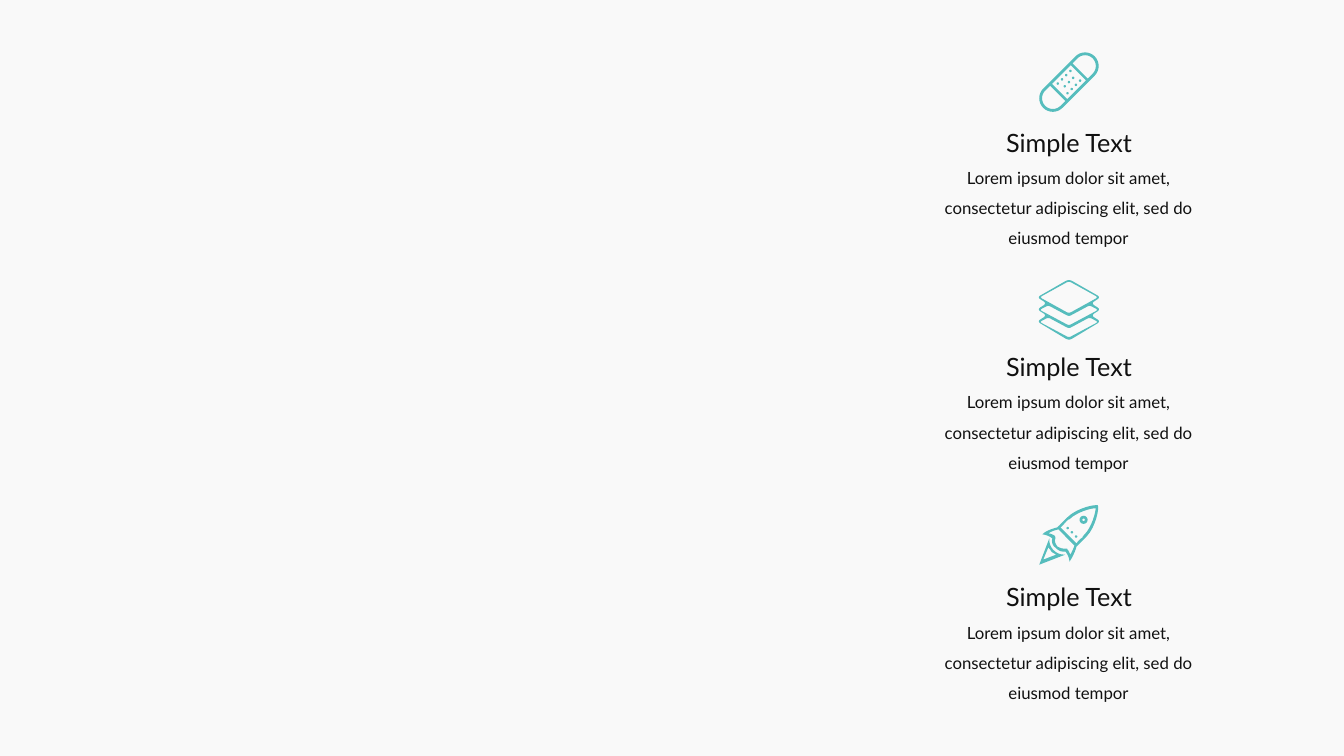
from math import cos, hypot, pi, sin, sqrt

from pptx import Presentation
from pptx.dml.color import RGBColor
from pptx.enum.text import MSO_AUTO_SIZE as Fit, PP_ALIGN as Align
from pptx.util import Cm, Pt

TEAL = RGBColor(0x56, 0xBD, 0xBD)
INK = RGBColor(0x11, 0x11, 0x11)
PAPER = RGBColor(0xF9, 0xF9, 0xF9)
FONT = "Lato"
HEAD = "Simple Text"
BODY = "Lorem ipsum dolor sit amet, consectetur adipiscing elit, sed do eiusmod tempor"
UNIT = Cm(0.0254)  # icons are drawn on a grid of 59 units
FINE = 100  # steps in one unit
MID = 29.5


# Outline helpers: each returns a list of points
def bend(ctrl, steps=8):
    """Points along a Bezier curve, without its first point."""
    out = []
    for i in range(1, steps + 1):
        t, row = i / steps, ctrl
        while len(row) > 1:
            row = [(a + (c - a) * t, b + (d - b) * t)
                   for (a, b), (c, d) in zip(row, row[1:])]
        out.append(row[0])
    return out


def trace(start, *parts):
    """Each part holds one point (line) or three points (curve)."""
    out = [start]
    for part in parts:
        pairs = list(zip(part[::2], part[1::2]))
        out += pairs if len(pairs) == 1 else bend([out[-1]] + pairs)
    return out


def arc(x, y, r, start=0, sweep=2 * pi, steps=16):
    turns = [start + sweep * i / steps for i in range(steps + 1)]
    return [(x + r * cos(a), y + r * sin(a)) for a in turns]


def soften(points, cut):
    """Round every corner of a closed outline."""
    out = []
    for i, (x, y) in enumerate(points):
        ends = []
        for px, py in (points[i - 1], points[(i + 1) % len(points)]):
            k = cut / hypot(px - x, py - y)
            ends.append((x + (px - x) * k, y + (py - y) * k))
        out += [ends[0]] + bend([ends[0], (x, y), ends[1]])
    return out


def mirror(half):
    """Close a left half, listed from top to bottom, on its right side."""
    return half + [(2 * MID - x, y) for x, y in reversed(half) if x != MID]


def tilt(points):
    return [(MID + (u + v) / sqrt(2), MID + (v - u) / sqrt(2)) for u, v in points]


# Icons: lists of outlines, inner ones cut holes
def plaster():
    reach, wide, slim = 22.6, 13.5, 10.7
    right = arc(reach, 0, wide, -pi / 2, pi)
    left = arc(-reach, 0, wide, pi / 2, pi)
    cap = [(15.7, -slim)] + arc(reach, 0, slim, -pi / 2, pi) + [(15.7, slim)]
    pad = [(-13.2, -slim), (13.2, -slim), (13.2, slim), (-13.2, slim)]
    rows = [(-6.8, 4), (0, 3), (6.8, 4)]
    dots = [arc(5.9 * (i - (n - 1) / 2), v, 1.2) for v, n in rows for i in range(n)]
    shapes = [right + left, cap, [(-u, -v) for u, v in cap], pad] + dots
    return [tilt(points) for points in shapes]


def layers():
    edge = [(MID, -1), (-2, 17), (7.5, 23), (-2, 29), (7.5, 35), (-2, 41), (MID, 60)]
    top = [(MID, 1), (0.5, 17), (MID, 33)]
    bands = [[(9, 25 + d), (0.5, 29.5 + d), (MID, 45 + d)] for d in (0, 12)]
    out = [soften(mirror(edge), 4), soften(mirror(top), 3)]
    for band in bands:
        dip = (MID, band[0][1] + 11)
        out.append(soften([dip] + mirror(band), 2.5))
    return out


def rocket():
    hull = trace(
        (58, 0), (56, 0), (51, 0, 36, 4, 28, 12), (26, 14, 20, 20, 18, 22),
        (14, 23, 7, 25, 3, 29), (3, 29, 8, 29, 13, 33), (12, 36, 13, 40, 16, 42),
        (19, 45, 21, 46, 24, 46), (26, 46), (30, 51, 30, 56, 30, 56),
        (33, 52, 36, 45, 37, 41), (39, 39, 45, 33, 47, 31), (56, 22, 60, 2, 58, 0))
    nose = trace(
        (45, 29), (44, 30, 43, 31, 43, 32), (41, 33, 38, 36, 37, 38), (21, 22),
        (23, 21, 25, 18, 27, 16), (28, 15, 29, 14, 30, 14), (37, 7, 51, 3, 56, 3),
        (56, 7, 52, 22, 45, 29))
    tail = trace(
        (35, 40), (34, 43, 32, 47, 31, 49), (30, 48, 30, 46, 28, 44),
        (28, 43, 27, 43, 26, 43), (24, 43), (22, 43, 20, 42, 18, 41),
        (16, 38, 15, 36, 16, 33), (16, 32, 16, 31, 15, 30), (13, 29, 11, 28, 9, 28),
        (12, 26, 15, 25, 19, 24))
    flame = trace((10, 33), (0, 59), (26, 49), (25, 49, 25, 49, 24, 49),
                  (16, 49, 9, 41, 10, 33))
    core = trace((4, 54), (9, 42), (10, 43, 11, 44, 12, 46), (13, 47, 15, 48, 17, 49))
    dots = [arc(28.2 + 4.2 * i, 22.7 + 4.2 * i, 1.2) for i in range(3)]
    port = [arc(44, 14.5, r) for r in (4, 1.3)]
    return [hull, nose, tail, flame, core] + dots + port


# Slide parts
def add_icon(slide, shapes, top):
    pen = None
    for points in shapes:
        (x, y), *rest = [(px * FINE, py * FINE) for px, py in points]
        if pen is None:
            pen = slide.shapes.build_freeform(x, y, scale=UNIT / FINE)
        else:
            pen.move_to(x, y)
        pen.add_line_segments(rest, close=True)
    icon = pen.convert_to_shape(Cm(26.19), top)
    icon.shadow.inherit = False
    icon.fill.solid()
    icon.fill.fore_color.rgb = TEAL
    icon.line.fill.background()


def add_text(slide, text, box, size, wrap, space=1.0):
    frame = slide.shapes.add_textbox(*box).text_frame
    frame.margin_left = frame.margin_right = 0
    frame.margin_top = frame.margin_bottom = 0
    frame.word_wrap = wrap
    frame.auto_size = Fit.SHAPE_TO_FIT_TEXT
    frame.text = text
    para = frame.paragraphs[0]
    para.alignment = Align.CENTER
    para.line_spacing = space
    font = para.runs[0].font
    font.name, font.size, font.color.rgb = FONT, Pt(size), INK


def main():
    deck = Presentation()
    deck.slide_width, deck.slide_height = Cm(33.87), Cm(19.05)
    slide = deck.slides.add_slide(deck.slide_layouts[6])
    slide.background.fill.solid()
    slide.background.fill.fore_color.rgb = PAPER

    # One block per icon: icon top, heading top
    blocks = [(plaster, 1.32, 3.2), (layers, 7.06, 8.86), (rocket, 12.73, 14.66)]
    for draw, top, head in blocks:
        add_icon(slide, draw(), Cm(top))
        add_text(slide, BODY, (Cm(23.77), Cm(head + 0.77), Cm(6.32), Cm(2.31)),
                 12, True, 1.5)
        add_text(slide, HEAD, (Cm(25.25), Cm(head), Cm(3.38), Cm(0.76)), 18, False)

    deck.save("out.pptx")


if __name__ == "__main__":
    main()
